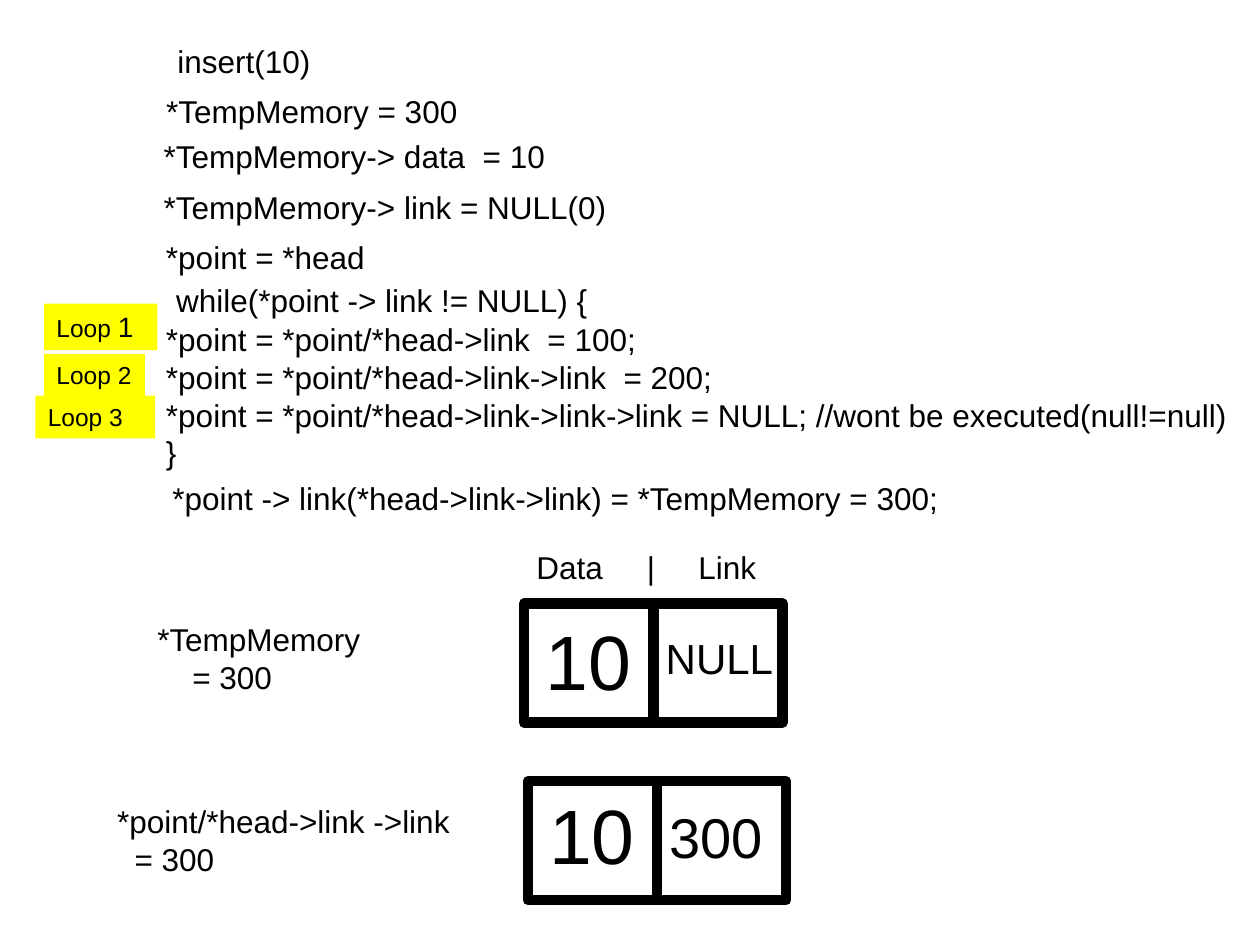
from lxml.etree import SubElement
from pptx import Presentation
from pptx.dml.color import RGBColor
from pptx.enum.shapes import MSO_CONNECTOR, MSO_SHAPE
from pptx.enum.text import MSO_ANCHOR, PP_ALIGN
from pptx.oxml.ns import qn
from pptx.util import Pt

BLACK = RGBColor(0, 0, 0)
WHITE = RGBColor(255, 255, 255)
YELLOW = RGBColor(255, 255, 0)
FONT = "Arial"
BODY_SIZE = 18
LINE_HEIGHT = 29

# left, top, width, lines
CODE = [
    (94.3, 20.2, 92.2, ["insert(10)"]),
    (87.8, 49, 221.8, ["*TempMemory = 300"]),
    (86.4, 74.9, 241.9, ["*TempMemory-> data  = 10"]),
    (86.4, 103.7, 274.3, ["*TempMemory-> link = NULL(0)"]),
    (87.8, 132.5, 269.3, ["*point = *head"]),
    (93.6, 157, 257, ["while(*point -> link != NULL) {"]),
    (87.8, 179.3, 623.5, [
        "*point = *point/*head->link  = 100;",
        "*point = *point/*head->link->link  = 200;",
        "*point = *point/*head->link->link->link = NULL; //wont be executed(null!=null)",
        "}",
    ]),
    (91.4, 270, 567.4, ["*point -> link(*head->link->link) = *TempMemory = 300;"]),
]

# left, top, width, height, runs of (text, size)
LOOPS = [
    (25.2, 173.5, 64.8, 26.6, [("Loop ", 14), ("1", 16)]),
    (25.2, 202.3, 57.6, 24.5, [("Loop 2", 14)]),
    (20.2, 226.1, 68.4, 24.5, [("Loop 3", 14)]),
]

HEADINGS = ["Data", "|", "Link"]
HEADING_TABS = [63, 92.5]

# box left and top, data top, link (text, size, top),
# label (left, top, width, lines, indent of last line)
NODES = [
    (299.5, 344.9, 347, ("NULL", 24, 357.8),
     (82.8, 350.6, 136.8, ["*TempMemory", "= 300"], 20)),
    (301.7, 446.4, 446.4, ("300", 32, 455),
     (59.8, 455, 213.1, ["*point/*head->link ->link", "= 300"], 10)),
]
NODE_WIDTH, NODE_HEIGHT = 147.6, 68
BORDER = 6


def style_run(run, size):
    run.font.name = FONT
    run.font.size = Pt(size)
    run.font.color.rgb = BLACK


def add_text(slide, left, top, width, lines, size=BODY_SIZE):
    height = LINE_HEIGHT * size / BODY_SIZE + (len(lines) - 1) * size * 1.2
    box = slide.shapes.add_textbox(Pt(left), Pt(top), Pt(width), Pt(height))
    frame = box.text_frame
    frame.word_wrap = True
    frame.text = "\n".join(lines)
    for paragraph in frame.paragraphs:
        for run in paragraph.runs:
            style_run(run, size)
    return frame.paragraphs


def add_rectangle(slide, left, top, width, height, fill):
    box = slide.shapes.add_shape(
        MSO_SHAPE.RECTANGLE, Pt(left), Pt(top), Pt(width), Pt(height))
    box.shadow.inherit = False
    box.fill.solid()
    box.fill.fore_color.rgb = fill
    box.line.fill.background()
    return box


def add_loop(slide, left, top, width, height, runs):
    tag = add_rectangle(slide, left, top, width, height, YELLOW)
    frame = tag.text_frame
    frame.vertical_anchor = MSO_ANCHOR.TOP
    frame.word_wrap = True
    paragraph = frame.paragraphs[0]
    paragraph.alignment = PP_ALIGN.LEFT
    for text, size in runs:
        run = paragraph.add_run()
        run.text = text
        style_run(run, size)


def add_headings(slide):
    heading = add_text(slide, 299.5, 309.6, 156.2, ["\t".join(HEADINGS)])[0]
    tabs = SubElement(heading._p.get_or_add_pPr(), qn("a:tabLst"))
    for position in HEADING_TABS:
        SubElement(tabs, qn("a:tab"), pos=str(Pt(position)), algn="l")


def add_node(slide, left, top, data_top, link, label):
    """Draw a list node: a box split into data and link, with its label."""
    box = add_rectangle(slide, left, top, NODE_WIDTH, NODE_HEIGHT, WHITE)
    middle = left + NODE_WIDTH / 2
    divider = slide.shapes.add_connector(
        MSO_CONNECTOR.STRAIGHT, Pt(middle), Pt(top), Pt(middle), Pt(top + NODE_HEIGHT))
    divider.begin_connect(box, 0)
    divider.end_connect(box, 2)
    SubElement(divider._element.spPr, qn("a:effectLst"))
    for outline in (box.line, divider.line):
        outline.color.rgb = BLACK
        outline.width = Pt(BORDER)

    add_text(slide, left + 5, data_top, 85, ["10"], 44)
    link_text, link_size, link_top = link
    add_text(slide, middle, link_top, 82, [link_text], link_size)

    *label_place, indent = label
    last_line = add_text(slide, *label_place)[-1]
    properties = last_line._p.get_or_add_pPr()
    properties.set("marL", str(Pt(indent)))
    properties.set("indent", "0")


def main():
    presentation = Presentation()
    presentation.slide_width, presentation.slide_height = Pt(720), Pt(540)
    slide = presentation.slides.add_slide(presentation.slide_layouts[6])
    for code in CODE:
        add_text(slide, *code)
    for loop in LOOPS:
        add_loop(slide, *loop)
    add_headings(slide)
    for node in NODES:
        add_node(slide, *node)
    presentation.save("out.pptx")


if __name__ == "__main__":
    main()
